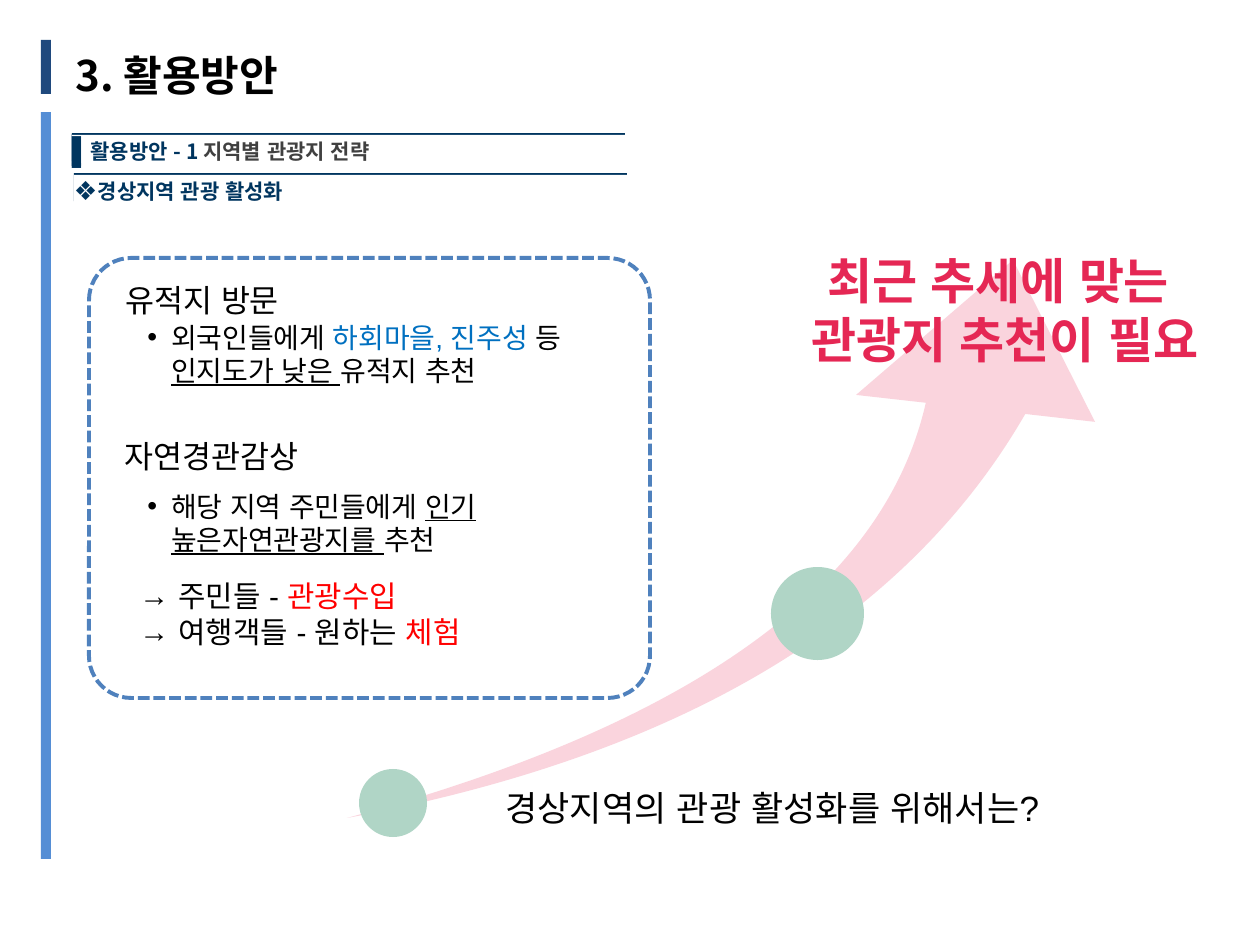
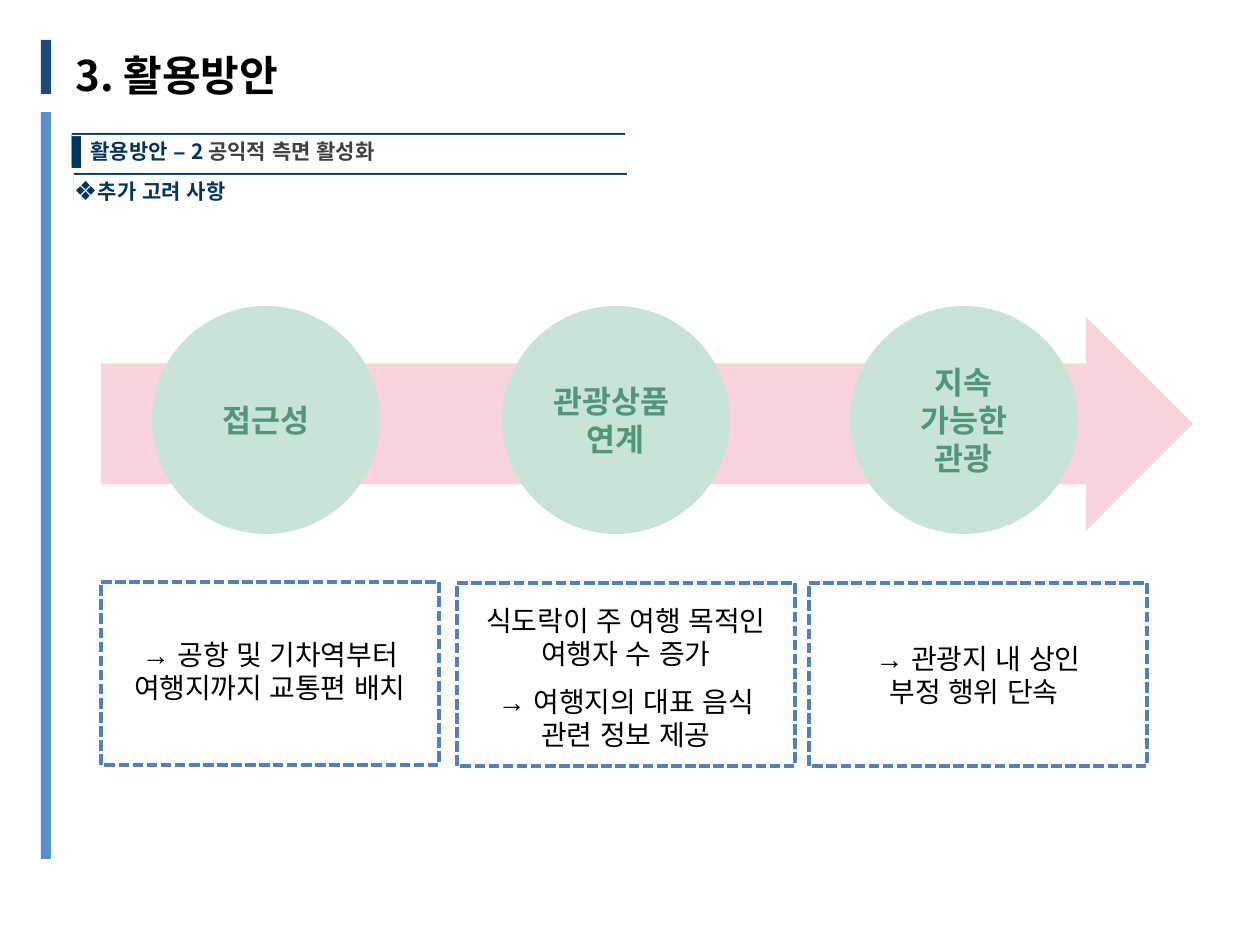
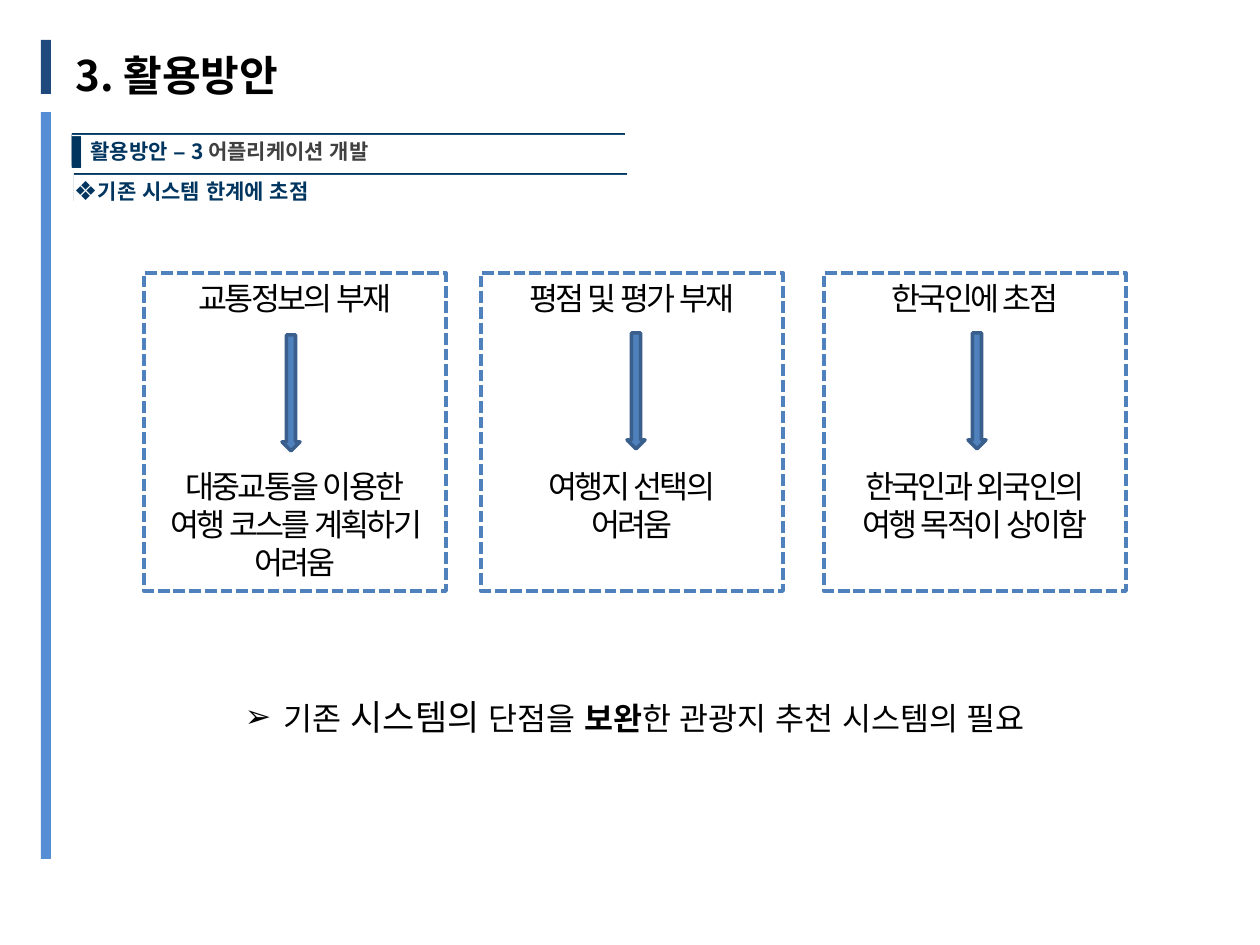
from lxml import etree
from pptx import Presentation, util as u
from pptx.dml.color import RGBColor
from pptx.enum import dml, shapes, text
from pptx.oxml.ns import qn

SCALE = 914400 / 126
SANS, NOTO = "Arial", "Noto Sans CJK KR"
BLACK, NAVY, GRAY, WHITE = "000000", "00355F", "404040", "FFFFFF"
DARK_BAR, LIGHT_BAR = "1F497D", "558ED5"
BLUE, BLUE_EDGE, PINK = "4F81BD", "3A5F8C", "FAD4DD"
DOT, CIRCLE, CIRCLE_TEXT = "B0D5C6", "CAE3D9", "50977A"
LINK, RED, ROSE = "0070C0", "FF0000", "E52754"
MS = shapes.MSO_SHAPE
CENTER, LEFT = text.PP_ALIGN.CENTER, text.PP_ALIGN.LEFT
TOP, MIDDLE = text.MSO_ANCHOR.TOP, text.MSO_ANCHOR.MIDDLE


def px(n):
    return u.Emu(round(n * SCALE))


def rgb(value):
    return RGBColor.from_string(value)


def apply(obj, **values):
    for name, value in values.items():
        setattr(obj, name, value)


def child(parent, tag, **attrs):
    return etree.SubElement(parent, qn(tag), {k: str(v) for k, v in attrs.items()})


def add_bullet(p, char, left, hang, color=None):
    pPr = p._p.get_or_add_pPr()
    pPr.set("marL", str(px(left)))
    pPr.set("indent", str(-px(hang)))
    if color:
        child(child(pPr, "a:buClr"), "a:srgbClr", val=color)
        child(pPr, "a:buSzPct", val=125000)
    child(pPr, "a:buFont", typeface=SANS)
    child(pPr, "a:buChar", char=char)


def add_run(p, words, color=BLACK, spacing=0, font=SANS, size=16, **fmt):
    r = p.add_run()
    r.text = words
    apply(r.font, name=font, size=u.Pt(size), **fmt)
    r.font.color.rgb = rgb(color)
    child(r._r.rPr, "a:ea", typeface=SANS)
    if spacing:
        r._r.rPr.set("spc", str(spacing))


def write(tf, paragraphs, align=LEFT, anchor=TOP, wrap=True, bullet=None, before=None, **fmt):
    apply(tf, word_wrap=wrap, vertical_anchor=anchor, auto_size=text.MSO_AUTO_SIZE.NONE)
    for i, runs in enumerate(paragraphs):
        p = tf.paragraphs[0] if i == 0 else tf.add_paragraph()
        p.alignment = align
        if before and i in before:
            p.space_before = u.Pt(before[i])
        if bullet:
            add_bullet(p, *bullet)
        for run in [runs] if isinstance(runs, str) else runs:
            words, extra = (run, {}) if isinstance(run, str) else run
            add_run(p, words, **{**fmt, **extra})


def add_shape(s, kind, box, fill=None, line=None, width=2.25, dashed=False):
    sp = s.shapes.add_shape(kind, *map(px, box))
    sp.shadow.inherit = False
    if fill:
        sp.fill.solid()
        sp.fill.fore_color.rgb = rgb(fill)
    else:
        sp.fill.background()
    if line:
        sp.line.color.rgb = rgb(line)
        sp.line.width = u.Pt(width)
        if dashed:
            sp.line.dash_style = dml.MSO_LINE.SQUARE_DOT
    else:
        sp.line.fill.background()
    return sp


def add_text(s, box, paragraphs, **fmt):
    write(s.shapes.add_textbox(*map(px, box)).text_frame, paragraphs, **fmt)


def add_band(s, box, runs, bullet):
    sp = add_shape(s, MS.RECTANGLE, box, WHITE)
    effects = sp._element.spPr.find(qn("a:effectLst"))
    shadow = child(effects, "a:outerShdw", dist=u.Pt(1), dir=16200000, algn="b", rotWithShape=0)
    child(shadow, "a:srgbClr", val=NAVY)
    apply(sp.text_frame, margin_left=0, margin_right=0, margin_bottom=0, margin_top=px(5))
    write(sp.text_frame, [runs], anchor=MIDDLE, bullet=bullet, size=12, bold=True, color=NAVY)


def add_page(prs, number, topic, heading):
    s = prs.slides.add_slide(prs.slide_layouts[5])
    title = s.shapes.title
    apply(title, left=px(63), top=px(38), width=px(1134), height=px(74))
    write(title.text_frame, ["3. 활용방안"], anchor=MIDDLE, font=NOTO, size=24, bold=True)
    for top, height, color in ((40, 54, DARK_BAR), (112, 747, LIGHT_BAR)):
        add_shape(s, MS.RECTANGLE, (41, top, 10, height), color)
    section = [(number, {"font": NOTO}), (topic, {"color": GRAY})]
    add_band(s, (72, 135, 553, 28), section, ("▌", 4, 24, NAVY))
    add_band(s, (74, 175, 553, 28), heading, ("❖", 24, 24, NAVY))
    return s


def add_growth(s, box):
    x, y, w, h = box
    arrow = add_shape(s, MS.SWOOSH_ARROW, (x + (w - h) / 2, y + (h - w) / 2, h, w), PINK)
    arrow.rotation = 270
    arrow._element.spPr.xfrm.set("flipV", "1")
    arrow.adjustments[0], arrow.adjustments[1] = 0.133, 0.276
    for left, top, size in ((424, 307, 93), (12, 509, 68)):
        add_shape(s, MS.OVAL, (x + left, y + top, size, size), DOT)
    add_text(s, (x + 430, y - 16, 456, 131), ["최근 추세에 맞는 ", "관광지 추천이 필요"],
             align=CENTER, wrap=False, size=28, bold=True, color=ROSE)
    add_text(s, (x + 146, y + 520, 633, 55), ["경상지역의 관광 활성화를 위해서는?"], size=20)


def add_visit_plan(s, box):
    x, y, w, h = box
    add_shape(s, MS.ROUNDED_RECTANGLE, box, line=BLUE, dashed=True).adjustments[0] = 0.096
    line = {"underline": True}
    red = {"color": RED}
    dot, arrow = ("•", 24, 24), ("→", 39, 39)
    parts = (
        (24, 17, 441, 50, ["유적지 방문"], 18, None),
        (46, 56, 495, 81, [["외국인들에게 ", ("하회마을, 진주성 ", {"color": LINK}), "등 ",
                            ("인지도가 낮은 ", line), "유적지 추천"]], 16, dot),
        (23, 173, 460, 50, ["자연경관감상"], 18, None),
        (46, 225, 471, 81, [["해당 지역 주민들에게 ", ("인기 높은자연관광지를 ", line), "추천"]], 16, dot),
        (38, 314, 503, 84, [["주민들 - ", ("관광수입", red)],
                            ["여행객들 - 원하는 ", ("체험", red)]], 17, arrow),
    )
    for left, top, width, height, paragraphs, size, bullet in parts:
        add_text(s, (x + left, y + top, width, height), paragraphs, size=size, bullet=bullet)


def add_topic_arrow(s, box):
    x, y, w, h = box
    arrow = add_shape(s, MS.RIGHT_ARROW, box, PINK)
    arrow.adjustments[0], arrow.adjustments[1] = 0.566, 0.5
    topics = ((51, ["접근성"]), (401, ["관광상품 ", "연계"]), (749, ["지속", "가능한", "관광"]))
    for left, words in topics:
        circle = add_shape(s, MS.OVAL, (x + left, y - 11, 228, 228), CIRCLE)
        write(circle.text_frame, words, align=CENTER, anchor=MIDDLE,
              size=18, bold=True, color=CIRCLE_TEXT)


def add_measure(s, box, text_top, paragraphs, before=None):
    x, y, w, h = box
    add_shape(s, MS.RECTANGLE, box, line=BLUE, width=2, dashed=True)
    add_text(s, (x, y + text_top, w, h - text_top), paragraphs, align=CENTER, before=before)


def add_limit(s, box, arrow_left, arrow_top, cause, effect):
    x, y, w, h = box
    card = add_shape(s, MS.RECTANGLE, box, line=BLUE, dashed=True)
    write(card.text_frame, [cause, *effect], align=CENTER, before={1: 86},
          font=NOTO, size=18, spacing=-150)
    add_shape(s, MS.DOWN_ARROW, (x + arrow_left, y + arrow_top, 18, 116), BLUE, BLUE_EDGE, 2)


def build_region(prs):
    s = add_page(prs, "활용방안 - 1 ", "지역별 관광지 전략", "경상지역 관광 활성화")
    add_growth(s, (347, 260, 748, 558))
    add_visit_plan(s, (89, 258, 561, 440))


def build_public(prs):
    s = add_page(prs, "활용방안 – 2 ", "공익적 측면 활성화", "추가 고려 사항")
    add_topic_arrow(s, (101, 317, 1092, 214))
    add_measure(s, (101, 582, 338, 183), 49, ["→ 공항 및 기차역부터", "여행지까지 교통편 배치"])
    add_measure(s, (457, 583, 338, 183), 14,
                ["식도락이 주 여행 목적인 여행자 수 증가", "→ 여행지의 대표 음식 관련 정보 제공"], {1: 8})
    add_measure(s, (809, 583, 338, 183), 52, ["→ 관광지 내 상인", "부정 행위 단속 "])


def build_app(prs):
    s = add_page(prs, "활용방안 – 3 ", "어플리케이션 개발", "기존 시스템 한계에 초점")
    limits = (
        (144, 138, 62, "교통정보의 부재", ["대중교통을 이용한", "여행 코스를 계획하기 어려움"]),
        (481, 146, 60, "평점 및 평가 부재", ["여행지 선택의", "어려움"]),
        (824, 144, 60, "한국인에 초점", ["한국인과 외국인의", "여행 목적이 상이함"]),
    )
    for left, *content in limits:
        add_limit(s, (left, 273, 302, 318), *content)
    need = ["기존 ", ("시스템의", {"size": 20}), " 단점을 ", ("보완", {"bold": True}),
            "한 관광지 추천 시스템의 필요"]
    add_text(s, (164, 689, 942, 55), [need], align=CENTER, bullet=("➢", 39, 39), font=NOTO, size=18)


def main():
    prs = Presentation()
    apply(prs, slide_width=px(1260), slide_height=px(945))
    for build in (build_region, build_public, build_app):
        build(prs)
    prs.save("out.pptx")


if __name__ == "__main__":
    main()
